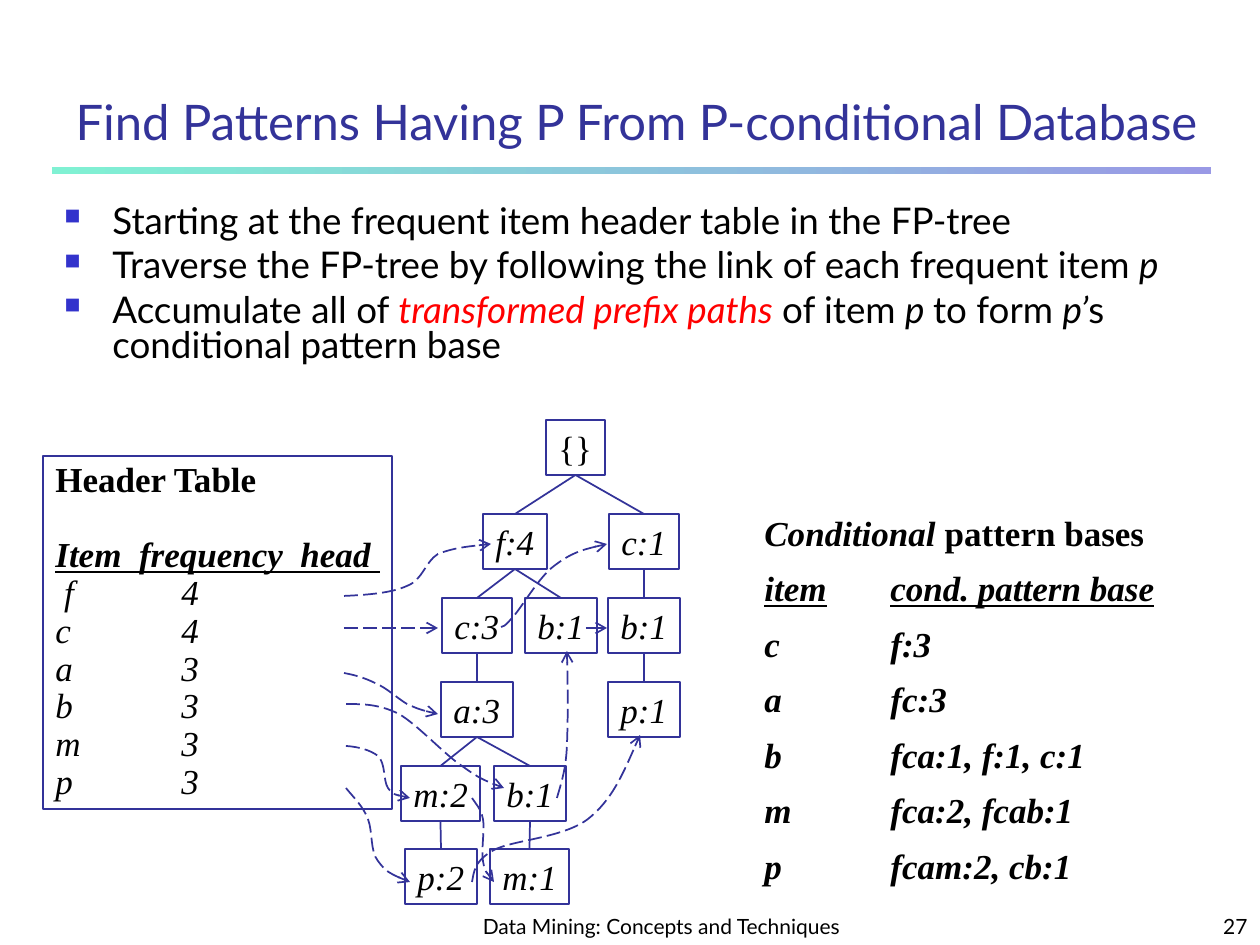
from typing import NamedTuple

from pptx import Presentation
from pptx.dml.color import RGBColor
from pptx.enum.dml import MSO_LINE
from pptx.enum.shapes import MSO_CONNECTOR, MSO_SHAPE
from pptx.enum.text import MSO_ANCHOR, MSO_AUTO_SIZE, PP_ALIGN
from pptx.oxml.ns import qn
from pptx.util import Pt
from lxml.etree import SubElement

EMU_PER_PX = 914400 / 126
NAVY = RGBColor(0x33, 0x33, 0x99)
BLACK = RGBColor(0, 0, 0)
RED = RGBColor(0xFF, 0, 0)
RULE_COLORS = (RGBColor(0x99, 0x99, 0xE5), RGBColor(0x80, 0xF1, 0xD3))
BULLET_HEX = "3333CC"

NODE_H = 55
TAB_STOP = 126
SERIF = {"name": "Times New Roman", "size": Pt(20)}
SANS = {"name": "Lato", "size": Pt(21)}
SMALL = {"name": "Lato", "size": Pt(12)}
BOLD = {"bold": True}
ITALIC = {"italic": True}
HEADING = {"bold": True, "italic": True, "underline": True}


class Run(NamedTuple):
    text: str
    fmt: dict = {}
    color: RGBColor = BLACK


class Para(NamedTuple):
    runs: list[Run]
    spacing: float = 1.0
    before: float = 0
    align: PP_ALIGN = PP_ALIGN.LEFT
    bullet: bool = False


class Node(NamedTuple):
    text: str
    x: int
    y: int
    w: int
    parent: str = ""


class Link(NamedTuple):
    """Dashed arrow: a start point, then three points for each Bezier segment."""
    points: list[tuple[int, int]]


NODES = {
    "root": Node("{}", 546, 420, 59),
    "f4": Node("f:4", 483, 514, 64, "root"),
    "c1": Node("c:1", 609, 514, 70, "root"),
    "c3": Node("c:3", 442, 598, 70, "f4"),
    "b_mid": Node("b:1", 525, 598, 72, "f4"),
    "b_right": Node("b:1", 608, 598, 72, "c1"),
    "a3": Node("a:3", 441, 682, 72, "c3"),
    "p1": Node("p:1", 608, 682, 72, "b_right"),
    "m2": Node("m:2", 401, 766, 79, "a3"),
    "b_low": Node("b:1", 494, 766, 72, "a3"),
    "p2": Node("p:2", 405, 849, 72, "m2"),
    "m1": Node("m:1", 490, 849, 79, "b_low"),
}

LINKS = [
    Link([(344, 596), (368, 595), (392, 593), (407, 586), (423, 580), (425, 562),
          (438, 554), (454, 548), (472, 546), (491, 544)]),
    Link([(344, 628), (438, 628)]),
    Link([(501, 627), (503, 627), (504, 627), (513, 617), (522, 607), (539, 577),
          (554, 566), (571, 553), (588, 548), (607, 544)]),
    Link([(344, 673), (355, 675), (365, 678), (375, 683), (387, 688), (397, 698),
          (407, 704), (418, 709), (428, 712), (438, 714)]),
    Link([(346, 704), (363, 704), (379, 704), (399, 714), (418, 725), (445, 755),
          (462, 766), (480, 779), (491, 783), (504, 788)]),
    Link([(557, 798), (561, 784), (566, 770), (567, 746), (568, 721), (568, 687),
          (567, 651)]),
    Link([(586, 628), (607, 628)]),
    Link([(346, 746), (359, 747), (370, 750), (378, 756), (386, 764), (383, 780),
          (388, 788), (393, 795), (402, 797), (410, 798)]),
    Link([(472, 798), (476, 804), (481, 809), (483, 819), (485, 829), (481, 851),
          (483, 861), (485, 872), (489, 877), (494, 882)]),
    Link([(346, 788), (354, 798), (363, 806), (368, 819), (373, 832), (370, 851),
          (378, 861), (386, 872), (397, 877), (410, 882)]),
    Link([(472, 882), (474, 872), (474, 861), (494, 850), (513, 840), (563, 838),
          (588, 819), (612, 800), (626, 767), (640, 735)]),
]

HEADER_ROWS = [(" f", 4), ("c", 4), ("a", 3), ("b", 3), ("m", 3), ("p", 3)]
PATTERN_BASES = [("c", "f:3"), ("a", "fc:3"), ("b", "fca:1, f:1, c:1"),
                 ("m", "fca:2, fcab:1"), ("p", "fcam:2, cb:1")]
STEPS = [
    [Run("Starting at the frequent item header table in the FP-tree")],
    [Run("Traverse the FP-tree by following the link of each frequent item "),
     Run("p", ITALIC)],
    [Run("Accumulate all of "), Run("transformed prefix paths", ITALIC, RED),
     Run(" of item "), Run("p ", ITALIC), Run("to form "), Run("p’", ITALIC),
     Run("s conditional pattern base")],
]


def px(*values: float) -> list[int]:
    return [round(v * EMU_PER_PX) for v in values]


def add_bullet(p) -> None:
    pPr = p._p.get_or_add_pPr()
    indent = px(48)[0]
    pPr.set("marL", str(indent))
    pPr.set("indent", str(-indent))
    SubElement(SubElement(pPr, qn("a:buClr")), qn("a:srgbClr"), val=BULLET_HEX)
    SubElement(pPr, qn("a:buSzPct"), val="60000")
    SubElement(pPr, qn("a:buChar"), char="■")


def add_tab_stop(p) -> None:
    tabs = SubElement(p._p.get_or_add_pPr(), qn("a:tabLst"))
    SubElement(tabs, qn("a:tab"), pos=str(px(TAB_STOP)[0]), algn="l")


def write(sp, paras: list[Para], base: dict, wrap=True, anchor=MSO_ANCHOR.TOP) -> None:
    tf = sp.text_frame
    tf.word_wrap, tf.auto_size, tf.vertical_anchor = wrap, MSO_AUTO_SIZE.NONE, anchor
    for i, para in enumerate(paras):
        p = tf.add_paragraph() if i else tf.paragraphs[0]
        if para.bullet:
            add_bullet(p)
        if any("\t" in run.text for run in para.runs):
            add_tab_stop(p)
        p.alignment, p.line_spacing = para.align, para.spacing
        p.space_before = Pt(para.before if i else 0)
        for run in para.runs:
            r = p.add_run()
            r.text = run.text
            for name, value in (base | run.fmt).items():
                setattr(r.font, name, value)
            r.font.color.rgb = run.color


def add_text(s, box: tuple, paras: list[Para], base: dict, anchor=MSO_ANCHOR.TOP) -> None:
    write(s.shapes.add_textbox(*px(*box)), paras, base, anchor=anchor)


def add_box(s, box: tuple, paras: list[Para]) -> None:
    sp = s.shapes.add_shape(MSO_SHAPE.RECTANGLE, *px(*box))
    sp.shadow.inherit = False
    sp.fill.background()
    sp.line.color.rgb, sp.line.width = NAVY, Pt(1)
    write(sp, paras, SERIF, wrap=False)


def add_line(s, start: tuple, end: tuple):
    cx = s.shapes.add_connector(MSO_CONNECTOR.STRAIGHT, *px(*start, *end))
    SubElement(cx._element.spPr, qn("a:effectLst"))
    cx.line.color.rgb, cx.line.width = NAVY, Pt(1)
    return cx


def add_curve(s, points: list[tuple[int, int]]):
    """Build an outline through all points, then join each three as a cubic curve."""
    fb = s.shapes.build_freeform(*px(*points[0]))
    fb.add_line_segments([px(*pt) for pt in points[1:]], close=False)
    sp = fb.convert_to_shape()
    outline = next(sp._element.iter(qn("a:path")))
    segments = outline.findall(qn("a:lnTo"))
    for i in range(0, len(segments), 3):
        curve = SubElement(outline, qn("a:cubicBezTo"))
        for segment in segments[i:i + 3]:
            curve.append(segment[0])
            outline.remove(segment)
    sp.shadow.inherit = False
    sp.fill.background()
    sp.line.color.rgb, sp.line.width = NAVY, Pt(1)
    return sp


def add_link(s, link: Link) -> None:
    pts = link.points
    sp = add_line(s, *pts) if len(pts) == 2 else add_curve(s, pts)
    sp.line.dash_style = MSO_LINE.LONG_DASH
    SubElement(sp.line._get_or_add_ln(), qn("a:tailEnd"), type="arrow")


def add_tree(s) -> None:
    for node in NODES.values():
        fmt = ITALIC if node.parent else {}
        add_box(s, (node.x, node.y, node.w, NODE_H), [Para([Run(node.text, fmt)])])
    for node in NODES.values():
        if node.parent:
            up = NODES[node.parent]
            add_line(s, (up.x + up.w / 2, up.y + NODE_H), (node.x + node.w / 2, node.y))


def main() -> None:
    prs = Presentation()
    prs.slide_width, prs.slide_height = px(1260, 945)
    s = prs.slides.add_slide(prs.slide_layouts[5])

    title = s.shapes.title
    title.left, title.top, title.width, title.height = px(63, 31, 1176, 126)
    write(title, [Para([Run("Find Patterns Having P From P-conditional Database", {}, NAVY)], 0.9)],
          {"name": "Lato", "size": Pt(28)}, anchor=MSO_ANCHOR.BOTTOM)

    rule = s.shapes.add_shape(MSO_SHAPE.RECTANGLE, *px(52, 167, 1159, 7))
    rule.shadow.inherit = False
    rule.line.fill.background()
    rule.fill.gradient()
    rule.fill.gradient_angle = 180
    for stop, color in zip(rule.fill.gradient_stops, RULE_COLORS):
        stop.color.rgb = color

    add_text(s, (52, 200, 1155, 210),
             [Para(runs, 0.8, 5.2, bullet=True) for runs in STEPS], SANS)

    bases = [Para([Run("Conditional ", ITALIC), Run("pattern bases")]),
             Para([Run("item\tcond. pattern base", HEADING)], 0.8, 12.5)]
    bases += [Para([Run(f"{item}\t{base}", ITALIC)], 0.8, 12.5)
              for item, base in PATTERN_BASES]
    add_text(s, (752, 505, 459, 388), bases, SERIF | BOLD)

    add_tree(s)
    header = [Para([Run("Header Table", BOLD)], 0.9),
              Para([Run("Item  frequency  head ", HEADING)], 0.9, 21.5)]
    header += [Para([Run(f"{item}\t{count}", ITALIC)], 0.9) for item, count in HEADER_ROWS]
    add_box(s, (43, 456, 349, 353), header)
    for link in LINKS:
        add_link(s, link)

    add_text(s, (462, 892, 399, 53),
             [Para([Run("Data Mining: Concepts and Techniques")], align=PP_ALIGN.CENTER)],
             SMALL, MSO_ANCHOR.BOTTOM)
    add_text(s, (998, 892, 262, 53), [Para([Run("27")], align=PP_ALIGN.RIGHT)],
             SMALL, MSO_ANCHOR.BOTTOM)
    prs.save("out.pptx")


if __name__ == "__main__":
    main()
